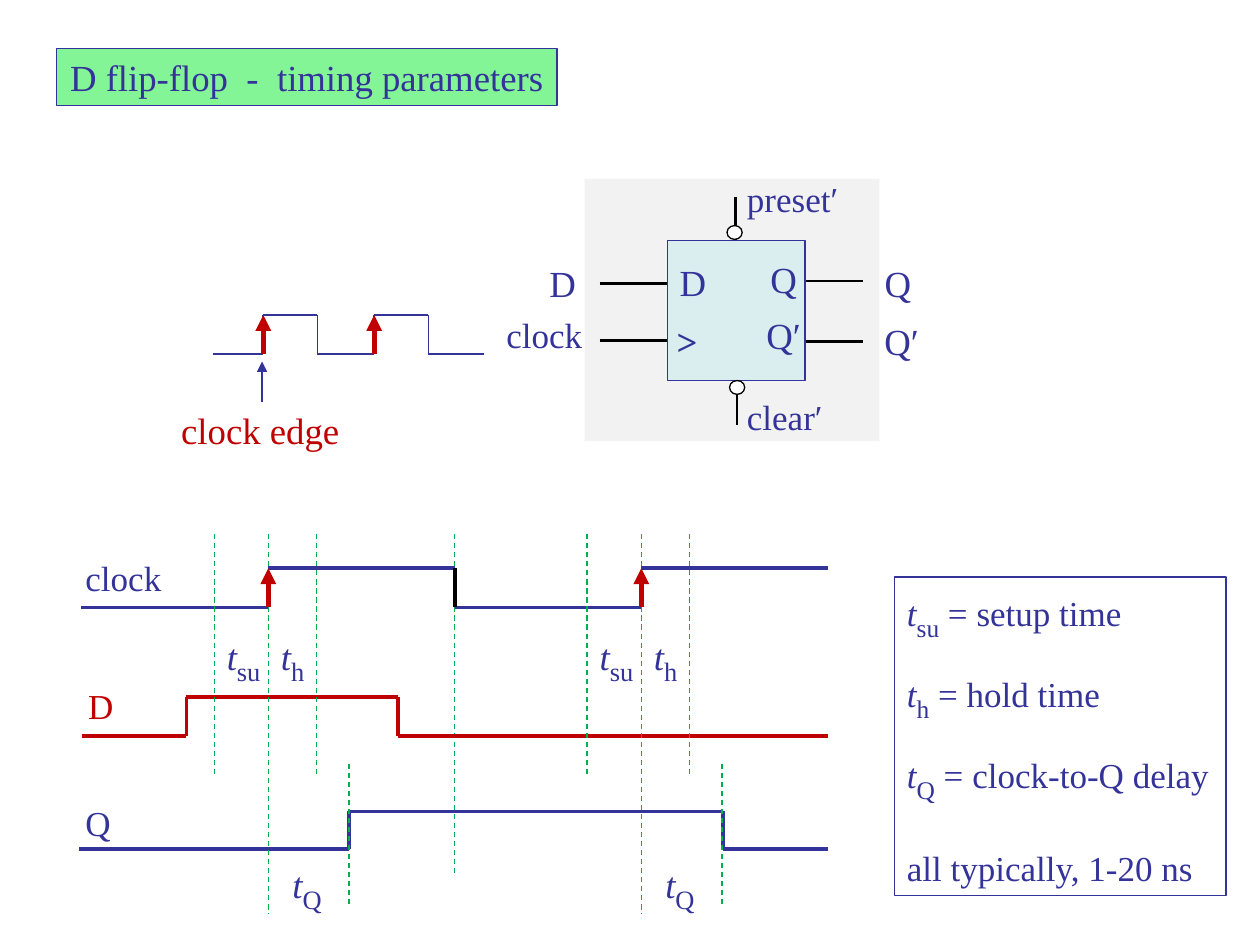
from lxml import etree
from pptx import Presentation
from pptx.dml.color import RGBColor
from pptx.enum.dml import MSO_LINE
from pptx.enum.shapes import MSO_CONNECTOR, MSO_SHAPE
from pptx.enum.text import MSO_ANCHOR, MSO_AUTO_SIZE, PP_ALIGN
from pptx.oxml.ns import qn
from pptx.util import Inches, Pt

STRAIGHT = MSO_CONNECTOR.STRAIGHT
RECT, OVAL = MSO_SHAPE.RECTANGLE, MSO_SHAPE.OVAL
DASH = MSO_LINE.DASH
LEFT, CENTER = PP_ALIGN.LEFT, PP_ALIGN.CENTER
FIT, NO_FIT = MSO_AUTO_SIZE.SHAPE_TO_FIT_TEXT, MSO_AUTO_SIZE.NONE
TOP, MIDDLE = MSO_ANCHOR.TOP, MSO_ANCHOR.MIDDLE

THEME = {
    "font": "Times New Roman", "big": 21, "label": 20,
    "blue": RGBColor(0x33, 0x33, 0x99), "red": RGBColor(0xC0, 0, 0),
    "green": RGBColor(0, 0xB0, 0x50), "black": RGBColor(0, 0, 0),
    "white": RGBColor(0xFF, 0xFF, 0xFF), "title": RGBColor(0x83, 0xF5, 0x96),
    "panel": RGBColor(0xF2, 0xF2, 0xF2), "block": RGBColor(0xDA, 0xED, 0xEF),
}

prs = Presentation()
prs.slide_width, prs.slide_height = Inches(10), Inches(7.5)
s = prs.slides.add_slide(prs.slide_layouts[5])
CELL = prs.slide_width / 100  # the slide is a grid of 100 columns by 75 rows


def line(points, color, width, dash=None, arrow=False):
    """Join the points with straight connectors; an arrow points at the end."""
    for (x1, y1), (x2, y2) in zip(points, points[1:]):
        ends = [round(v * CELL) for v in (x1, y1, x2, y2)]
        c = s.shapes.add_connector(STRAIGHT, *ends)
        c.line.color.rgb = THEME[color]
        c.line.width = Pt(width)
        if dash:
            c.line.dash_style = dash
        if arrow:
            etree.SubElement(c.line._ln, qn("a:tailEnd"), type="triangle")
        etree.SubElement(c._element.spPr, qn("a:effectLst"))


def text(box, lines, size="big", color="blue", pad=1, align=LEFT,
         bold=False, sp=None, gaps=(0,)):
    """Write lines; a (symbol, subscript, rest) line is set as a formula."""
    sp = sp or s.shapes.add_textbox(0, 0, 0, 0)
    sp.left, sp.top, sp.width, sp.height = [round(v * CELL) for v in box]
    tf = sp.text_frame
    tf.word_wrap = True
    tf.auto_size = NO_FIT if sp.is_placeholder else FIT
    tf.vertical_anchor = MIDDLE if sp.is_placeholder else TOP
    tf.margin_left = tf.margin_right = round(pad * CELL)
    tf.margin_top = tf.margin_bottom = round(pad * CELL / 2)
    for i, (content, gap) in enumerate(zip(lines, gaps)):
        p = tf.add_paragraph() if i else tf.paragraphs[0]
        p.alignment, p.space_before = align, Pt(gap)
        p.font.name, p.font.size = THEME["font"], Pt(THEME[size])
        p.font.color.rgb, p.font.bold = THEME[color], bold
        parts = (content,) if isinstance(content, str) else content
        for j, part in enumerate(parts):
            r = p.add_run()
            r.text = part
            if len(parts) > 1 and j == 0:
                r.font.italic = True
            if j == 1:
                r.font.size = Pt(THEME[size] + 5)
                r.font._element.set("baseline", "-25000")
    return sp


# Title
title = text((4.5, 3.85, 39.7, 4.5), ["D flip-flop  -  timing parameters"],
             align=CENTER, sp=s.shapes.title)
title.fill.solid()
title.fill.fore_color.rgb = THEME["title"]
title.line.color.rgb = THEME["blue"]
title.line.width = Pt(0.75)

# Flip-flop symbol: panel, leads, block, inversion bubbles
leads = [((63, 22.3), (68.5, 22.3)), ((63, 27.1), (68.5, 27.1)),
         ((47.6, 22.5), (57, 22.5)), ((47.6, 27), (53, 27)),
         ((58.4, 15.6), (58.4, 19.1)), ((58.5, 30.2), (58.5, 33.7))]
for kind, box, fill, edge in [
    (RECT, (46.4, 14.2, 23.4, 20.8), "panel", None),
    (RECT, (53, 19.1, 10.9, 11.1), "block", "blue"),
    (OVAL, (57.7, 17.9, 1.2, 1.1), "white", "black"),
    (OVAL, (57.9, 30.2, 1.2, 1.1), "white", "black"),
]:
    if fill == "block":
        for lead in leads:
            line(lead, "black", 1.5)
    sp = s.shapes.add_shape(kind, *[round(v * CELL) for v in box])
    sp.shadow.inherit = False
    sp.fill.solid()
    sp.fill.fore_color.rgb = THEME[fill]
    if edge:
        sp.line.color.rgb = THEME[edge]
        sp.line.width = Pt(0.75)
    else:
        sp.line.fill.background()

# Pin names inside and outside the block
text((43.6, 20.7, 2.9, 3.5), ["D"], pad=0)
text((70.2, 20.7, 2.8, 3.5), ["Q"], pad=0)
text((69.2, 24.8, 5.3, 4.5), ["Qʹ"])
text((53.7, 25.3, 3.8, 3.5), [">"], pad=0, bold=True)
text((53.6, 20.6, 2.8, 3.5), ["D"], pad=0, align=CENTER)
text((59.6, 24.3, 5.2, 4.5), ["Qʹ"], align=CENTER)
text((59.6, 19.9, 5.2, 4.5), ["Q"], align=CENTER)

# Pin and signal labels
for x, y, width, label, color in [
    (39.2, 24.4, 8.5, "clock", "blue"), (58.3, 30.9, 8.5, "clearʹ", "blue"),
    (58.3, 13.6, 10.5, "presetʹ", "blue"), (5.8, 43.7, 8.5, "clock", "blue"),
    (6, 53.8, 4.2, "D", "red"), (5.8, 63.1, 4.2, "Q", "blue"),
]:
    text((x, y, width, 4.4), [label], "label", color)

# Small clock with marked rising edges
hi, lo = 25, 28.1
line([(16.9, lo), (20.9, lo), (20.9, hi), (25.2, hi), (25.2, lo), (29.7, lo),
      (29.7, hi), (34, hi), (34, lo), (38.4, lo)], "blue", 1)
for x in (20.9, 29.7):
    line([(x, lo), (x, hi)], "red", 3, arrow=True)
text((13.4, 31.9, 15, 4.5), ["clock edge"], color="red")
line([(20.8, 31.9), (20.8, 28.7)], "blue", 0.75, arrow=True)

# Timing diagram: clock, D and Q
rise, fall, rise2, end = 21.3, 36.1, 50.9, 65.7
hi, lo = 45.1, 48.2
line([(fall, 42.4), (fall, 69.5)], "green", 0.75, DASH)
for wave in ([(6.4, lo), (rise, lo)], [(rise, hi), (fall, hi)],
             [(fall, lo), (rise2, lo)], [(rise2, hi), (end, hi)]):
    line(wave, "blue", 2)
line([(fall, hi), (fall, lo)], "black", 2)
line([(6.5, 58.4), (14.8, 58.4), (14.8, 55.3), (31.6, 55.3), (31.6, 58.4),
      (end, 58.4)], "red", 2)
line([(6.3, 67.4), (27.7, 67.4), (27.7, 64.4), (57.4, 64.4), (57.4, 67.4),
      (end, 67.4)], "blue", 2)

# Guides and interval names around each rising edge
for edge in (rise, rise2):
    for dx, y1, y2 in [(-4.3, 42.4, 61.5), (0, 42.4, 72.5),
                       (3.8, 42.4, 61.5), (6.4, 60.6, 72)]:
        line([(edge + dx, y1), (edge + dx, y2)], "green", 0.75, DASH)
    line([(edge, lo), (edge, hi)], "red", 3, arrow=True)
    for dx, y, width, sub in [(-3.3, 49.6, 3.4, "su"), (1, 49.6, 2.6, "h"),
                              (1.9, 67.7, 3.1, "Q")]:
        text((edge + dx, y, width, 4.9), [("t", sub)], pad=0)

# Legend
legend = text((71, 45.8, 26.3, 25.3),
              [("t", "su", " = setup time"), ("t", "h", " = hold time"),
               ("t", "Q", " = clock-to-Q delay"), "all typically, 1-20 ns"],
              "label", gaps=(0, 12, 12, 24))
legend.fill.solid()
legend.fill.fore_color.rgb = THEME["white"]
legend.line.color.rgb = THEME["blue"]
legend.line.width = Pt(0.75)

prs.save("out.pptx")
